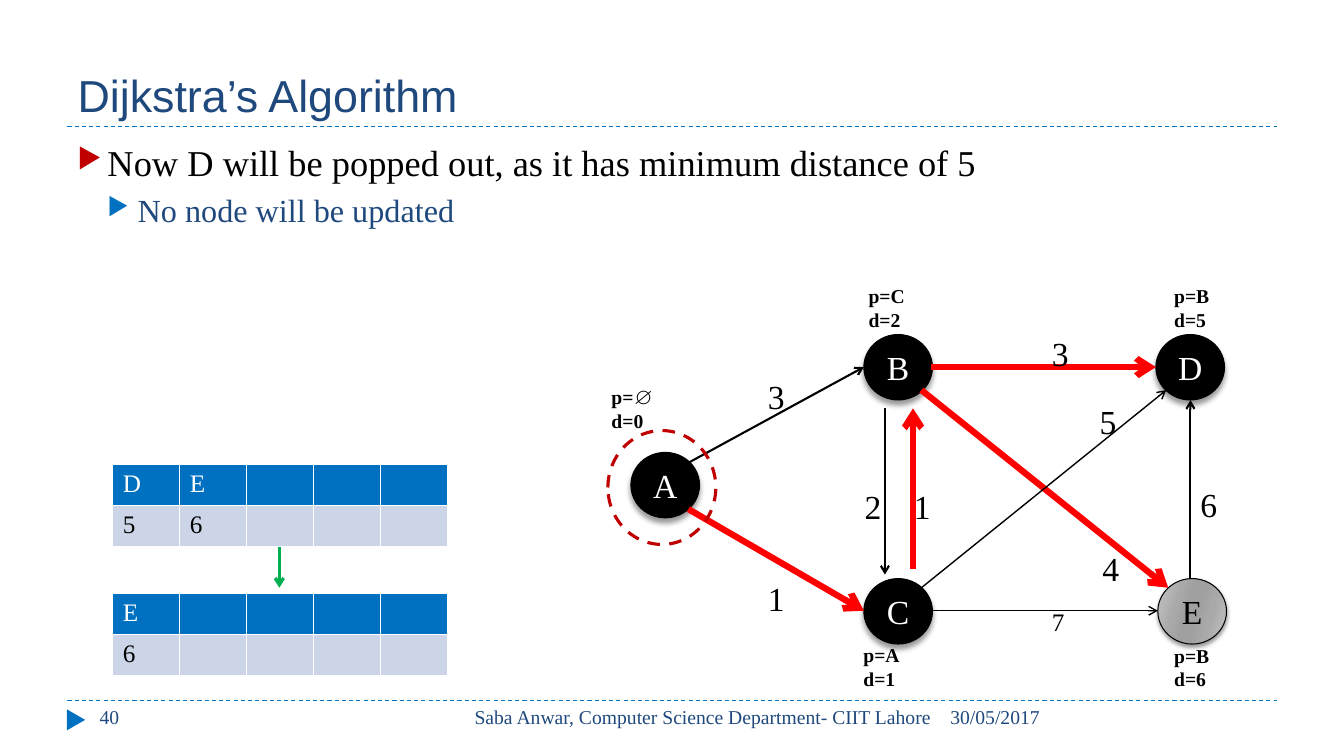
from lxml import etree
from pptx import Presentation, util as u
from pptx.dml.color import RGBColor
from pptx.enum import dml, shapes, text
from pptx.oxml import ns

HUES = {"blue": "0070C0", "navy": "1F497D", "red": "FF0000", "dark red": "C00000",
        "green": "00B050", "black": "000000", "white": "FFFFFF", "pale": "CCD5E8"}
RGB = {name: RGBColor.from_string(code) for name, code in HUES.items()}
SERIF = "Times New Roman"
LEFT, MID, RIGHT = text.PP_ALIGN.LEFT, text.PP_ALIGN.CENTER, text.PP_ALIGN.RIGHT

deck = Presentation()
deck.slide_width, deck.slide_height = u.Cm(33.87), u.Cm(19.05)
slide = deck.slides.add_slide(deck.slide_layouts[5])
parts = slide.shapes


def say(par, words, size, hue, bold=False, font=SERIF, align=LEFT):
    """Add one formatted run to a paragraph and align it."""
    par.alignment = align
    run = par.add_run()
    run.text = words
    run.font.name, run.font.size, run.font.bold = font, u.Pt(size), bold
    run.font.color.rgb = RGB[hue]


def link(ends, hue, width, arrow=True):
    """Draw an arrow, or a dashed rule when arrow is False."""
    line = parts.add_connector(shapes.MSO_CONNECTOR.STRAIGHT, *map(u.Cm, ends))
    line.line.color.rgb, line.line.width = RGB[hue], u.Pt(width)
    if arrow:
        etree.SubElement(line.line._get_or_add_ln(), ns.qn("a:tailEnd"), type="arrow")
    else:
        line.line.dash_style = dml.MSO_LINE.DASH
    etree.SubElement(line._element.spPr, ns.qn("a:effectLst"))


# Frame of the slide
for y in (17.65, 3.18):
    link((1.7, y, 32.18, y), "blue", 0.75, arrow=False)
mark = parts.add_shape(shapes.MSO_SHAPE.ISOSCELES_TRIANGLE,
                       u.Cm(1.65), u.Cm(17.91), u.Cm(0.53), u.Cm(0.46))
mark.rotation = 90
mark.shadow.inherit = False
mark.fill.solid()
mark.fill.fore_color.rgb = RGB["blue"]
mark.line.fill.background()

title = parts.title
title.left, title.top, title.width, title.height = map(u.Cm, (1.7, 0.43, 30.48, 2.75))
title.text_frame.vertical_anchor = text.MSO_ANCHOR.BOTTOM
say(title.text_frame.paragraphs[0], "Dijkstra’s Algorithm", 32, "navy", font="Arial")

# Bulleted text
body = parts.add_textbox(u.Cm(1.7), u.Cm(3.4), u.Cm(30.48), u.Cm(13.7)).text_frame
body.word_wrap = True
points = [("Now D will be popped out, as it has minimum distance of 5", 26, "black", "dark red"),
          ("No node will be updated", 23, "navy", "blue")]
for level, (words, size, hue, dot) in enumerate(points):
    par = body.add_paragraph() if level else body.paragraphs[0]
    par.level = level
    props = par._p.get_or_add_pPr()
    props.set("marL", str(u.Cm(0.76 * (level + 1))))
    props.set("indent", str(-u.Cm(0.76)))
    if level:
        par.space_before = u.Pt(5)
    tint = etree.SubElement(props, ns.qn("a:buClr"))
    etree.SubElement(tint, ns.qn("a:srgbClr"), val=HUES[dot])
    etree.SubElement(props, ns.qn("a:buSzPct"), val="76000")
    etree.SubElement(props, ns.qn("a:buChar"), char="▶")
    say(par, words, size, hue)

# Queue before and after the pop
for top, queue in ((14.96, [("E", "6")]), (11.71, [("D", "5"), ("E", "6")])):
    table = parts.add_table(2, 5, u.Cm(2.84), u.Cm(top), u.Cm(8.45), u.Cm(2.06)).table
    for row, (back, hue) in enumerate((("blue", "white"), ("pale", "black"))):
        for col in range(5):
            cell = table.cell(row, col)
            cell.fill.solid()
            cell.fill.fore_color.rgb = RGB[back]
            if col < len(queue):
                say(cell.text_frame.paragraphs[0], queue[col][row], 18, hue)
link((7.04, 13.79, 7.04, 14.81), "green", 2.25)

# Graph nodes
nodes = [("A", 15.9, 11.4), ("B", 21.77, 8.43), ("C", 21.77, 14.58),
         ("D", 29.13, 8.43), ("E", 29.18, 14.58)]
shades = [(0, "C5C5C5"), (30, "A9A9A9"), (45, "A0A0A0"),
          (55, "A0A0A0"), (73, "A9A9A9"), (100, "C5C5C5")]
for name, x, y in nodes:
    node = parts.add_shape(shapes.MSO_SHAPE.OVAL, u.Cm(x), u.Cm(y), u.Cm(1.73), u.Cm(1.65))
    last = name == "E"
    if last:
        node.fill.gradient()
        node.fill.gradient_angle = 344
        stops = node._element.spPr.find(".//" + ns.qn("a:gsLst"))
        stops.clear()
        for place, code in shades:
            stop = etree.SubElement(stops, ns.qn("a:gs"), pos=str(place * 1000))
            etree.SubElement(stop, ns.qn("a:srgbClr"), val=code)
    else:
        node.fill.solid()
        node.fill.fore_color.rgb = RGB["black"]
    node.line.color.rgb, node.line.width = RGB["black"], u.Pt(0.75)
    node.shadow.inherit = False
    blur, gap = (3, 2) if last else (4, 3.4)
    shade = etree.SubElement(node._element.spPr.find(ns.qn("a:effectLst")),
                             ns.qn("a:outerShdw"), blurRad=str(u.Pt(blur)),
                             dist=str(u.Pt(gap)), dir="5400000", rotWithShape="0")
    tint = etree.SubElement(shade, ns.qn("a:srgbClr"), val=HUES["black"])
    etree.SubElement(tint, ns.qn("a:alpha"), val="40000")
    node.text_frame.vertical_anchor = text.MSO_ANCHOR.MIDDLE
    say(node.text_frame.paragraphs[0], name, 24, "black" if last else "white", align=MID)

# Graph edges
edges = [((17.35, 11.66, 21.77, 9.25), "black", 1.5),
         ((17.35, 12.83, 21.77, 15.39), "red", 4.5),
         ((22.3, 10.29, 22.3, 14.48), "black", 1.5),
         ((23.01, 14.33, 23.01, 10.29), "red", 4.5),
         ((23.47, 9.25, 29.13, 9.25), "red", 4.5),
         ((23.22, 9.83, 29.44, 14.81), "red", 4.5),
         ((30, 14.58, 30, 10.08), "black", 1.5),
         ((23.47, 15.39, 29.18, 15.39), "black", 1),
         ((23.22, 14.81, 29.39, 9.83), "black", 1)]
for edge in edges:
    link(*edge)

# Edge weights, node states and footer
costs = [("3", 19.1, 9.35), ("1", 19.1, 14.45), ("2", 21.54, 12.12), ("1", 22.78, 12.12),
         ("3", 26.26, 8.26), ("4", 27.53, 13.69), ("6", 30, 12.07), ("7", 26.26, 15.16),
         ("5", 27.46, 9.98)]
states = [("p=∅", "d=0", 15.16, 9.58), ("p=C", "d=2", 21.64, 7.04),
          ("p=A", "d=1", 21.51, 16.08), ("p=B", "d=5", 29.34, 7.04),
          ("p=B", "d=6", 29.34, 16.1)]
boxes = [((x, y, 0.69, 1.27), [cost], 18 if cost == "7" else 24, "black", False, LEFT)
         for cost, x, y in costs]
boxes += [((x, y, 3.45, 1.45), [prior, dist], 14, "black", True, LEFT)
          for prior, dist, x, y in states]
boxes += [((x, 17.65, wide, 1.02), [words], 14, "navy", False, align)
          for words, x, wide, align in (
              ("30/05/2017", 23.7, 8.48, LEFT),
              ("Saba Anwar, Computer Science Department- CIIT Lahore", 10.74, 12.98, RIGHT),
              ("40", 2.26, 7.34, LEFT))]
for place, lines, size, hue, bold, align in boxes:
    frame = parts.add_textbox(*map(u.Cm, place)).text_frame
    frame.word_wrap = True
    for i, words in enumerate(lines):
        par = frame.add_paragraph() if i else frame.paragraphs[0]
        say(par, words, size, hue, bold, align=align)

# Ring around the start node
ring = parts.add_shape(shapes.MSO_SHAPE.OVAL, u.Cm(15.32), u.Cm(10.85), u.Cm(2.72), u.Cm(2.87))
ring.shadow.inherit = False
ring.fill.background()
ring.line.color.rgb, ring.line.width = RGB["dark red"], u.Pt(2.25)
ring.line.dash_style = dml.MSO_LINE.DASH

deck.save("out.pptx")
